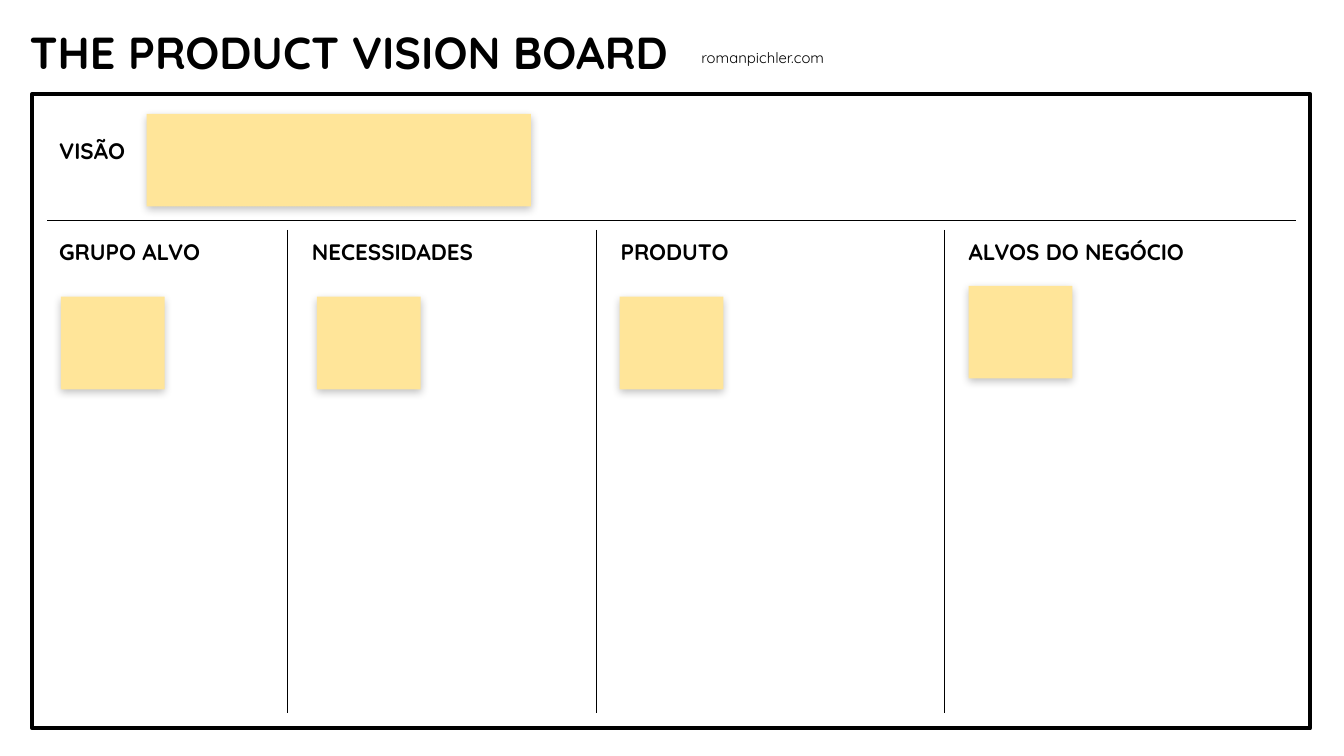
from dataclasses import dataclass

from lxml.etree import SubElement
from pptx import Presentation
from pptx.dml.color import RGBColor
from pptx.enum.shapes import MSO_CONNECTOR, MSO_SHAPE
from pptx.enum.text import MSO_ANCHOR, PP_ALIGN
from pptx.oxml.ns import qn
from pptx.util import Pt


@dataclass(frozen=True)
class Theme:
    font: str = "Quicksand"
    ink: RGBColor = RGBColor(0, 0, 0)
    note: RGBColor = RGBColor(0xFF, 0xE5, 0x99)
    title_size: float = 24
    heading_size: float = 12
    credit_size: float = 8
    frame_line: float = 2.25
    divider_line: float = 0.75


THEME = Theme()

TITLE = ("THE PRODUCT VISION BOARD", (13, 11.4, 603.4, 32.6))
CREDIT = ("romanpichler.com", (368.6, 23.8, 147.6, 20.2))
VISION = ("VISÃO", (24.6, 70.6, 79.9, 31))
VISION_NOTE = (78.6, 61, 205.8, 49.6)
FRAME = (17.3, 50.4, 684.6, 339.8)

# heading, left edge of the column, heading width, left and top of the note
COLUMNS = [
    ("GRUPO ALVO", 18.8, 110.9, 32.6, 159),
    ("NECESSIDADES", 154.2, 153.4, 169.8, 159),
    ("PRODUTO", 319.6, 107.3, 331.9, 159),
    ("ALVOS DO NEGÓCIO", 506, 158.4, 518.9, 153.2),
]
HEADING_INDENT, HEADING_TOP, HEADING_HEIGHT = 5.8, 124.6, 31
NOTE_SIZE = (55.6, 49.6)
RULE_LEFT, RULE_RIGHT, RULE_Y = 25.2, 694.4, 118.1
DIVIDER_TOP, DIVIDER_BOTTOM = 123.2, 382.2


def fill_text(shape, text, size, bold, inset, line_spacing, anchor):
    frame = shape.text_frame
    frame.word_wrap = True
    frame.vertical_anchor = anchor
    frame.margin_left = frame.margin_right = Pt(inset)
    frame.margin_top = frame.margin_bottom = Pt(inset)
    paragraph = frame.paragraphs[0]
    paragraph.alignment = PP_ALIGN.LEFT
    paragraph.line_spacing = line_spacing
    run = paragraph.add_run()
    run.text = text
    run.font.name = THEME.font
    run.font.size = Pt(size)
    run.font.bold = bold
    run.font.color.rgb = THEME.ink


def add_label(slide, text, box, size=THEME.heading_size, bold=True):
    label = slide.shapes.add_textbox(*map(Pt, box))
    fill_text(label, text, size, bold, 7.2, 0.8, MSO_ANCHOR.TOP)


def add_divider(slide, x1, y1, x2, y2):
    line = slide.shapes.add_connector(MSO_CONNECTOR.STRAIGHT, Pt(x1), Pt(y1), Pt(x2), Pt(y2))
    line.line.color.rgb = THEME.ink
    line.line.width = Pt(THEME.divider_line)
    SubElement(line._element.spPr, qn("a:effectLst"))


def add_rectangle(slide, box):
    shape = slide.shapes.add_shape(MSO_SHAPE.RECTANGLE, *map(Pt, box))
    shape.shadow.inherit = False
    return shape


def add_note(slide, box):
    """Add a sticky note with a soft shadow below it."""
    note = add_rectangle(slide, box)
    note.fill.solid()
    note.fill.fore_color.rgb = THEME.note
    note.line.fill.background()
    effects = note._element.spPr.find(qn("a:effectLst"))
    shadow = SubElement(effects, qn("a:outerShdw"), blurRad=str(Pt(4.5)),
                        dist=str(Pt(1.5)), dir="5400000", algn="bl", rotWithShape="0")
    color = SubElement(shadow, qn("a:srgbClr"), val=str(THEME.ink))
    SubElement(color, qn("a:alpha"), val="24000")


def main():
    presentation = Presentation()
    presentation.slide_width, presentation.slide_height = Pt(720), Pt(405)
    slide = presentation.slides.add_slide(presentation.slide_layouts[5])

    text, box = TITLE
    title = slide.shapes.title
    title.left, title.top, title.width, title.height = map(Pt, box)
    fill_text(title, text, THEME.title_size, True, 2.9, 1, MSO_ANCHOR.MIDDLE)

    frame = add_rectangle(slide, FRAME)
    frame.fill.background()
    frame.line.color.rgb = THEME.ink
    frame.line.width = Pt(THEME.frame_line)

    add_label(slide, *CREDIT, size=THEME.credit_size, bold=False)
    add_label(slide, *VISION)
    add_note(slide, VISION_NOTE)
    add_divider(slide, RULE_LEFT, RULE_Y, RULE_RIGHT, RULE_Y)

    for index, (heading, left, width, note_left, note_top) in enumerate(COLUMNS):
        if index:
            add_divider(slide, left, DIVIDER_TOP, left, DIVIDER_BOTTOM)
        add_label(slide, heading, (left + HEADING_INDENT, HEADING_TOP, width, HEADING_HEIGHT))
        add_note(slide, (note_left, note_top, *NOTE_SIZE))

    presentation.save("out.pptx")


if __name__ == "__main__":
    main()
